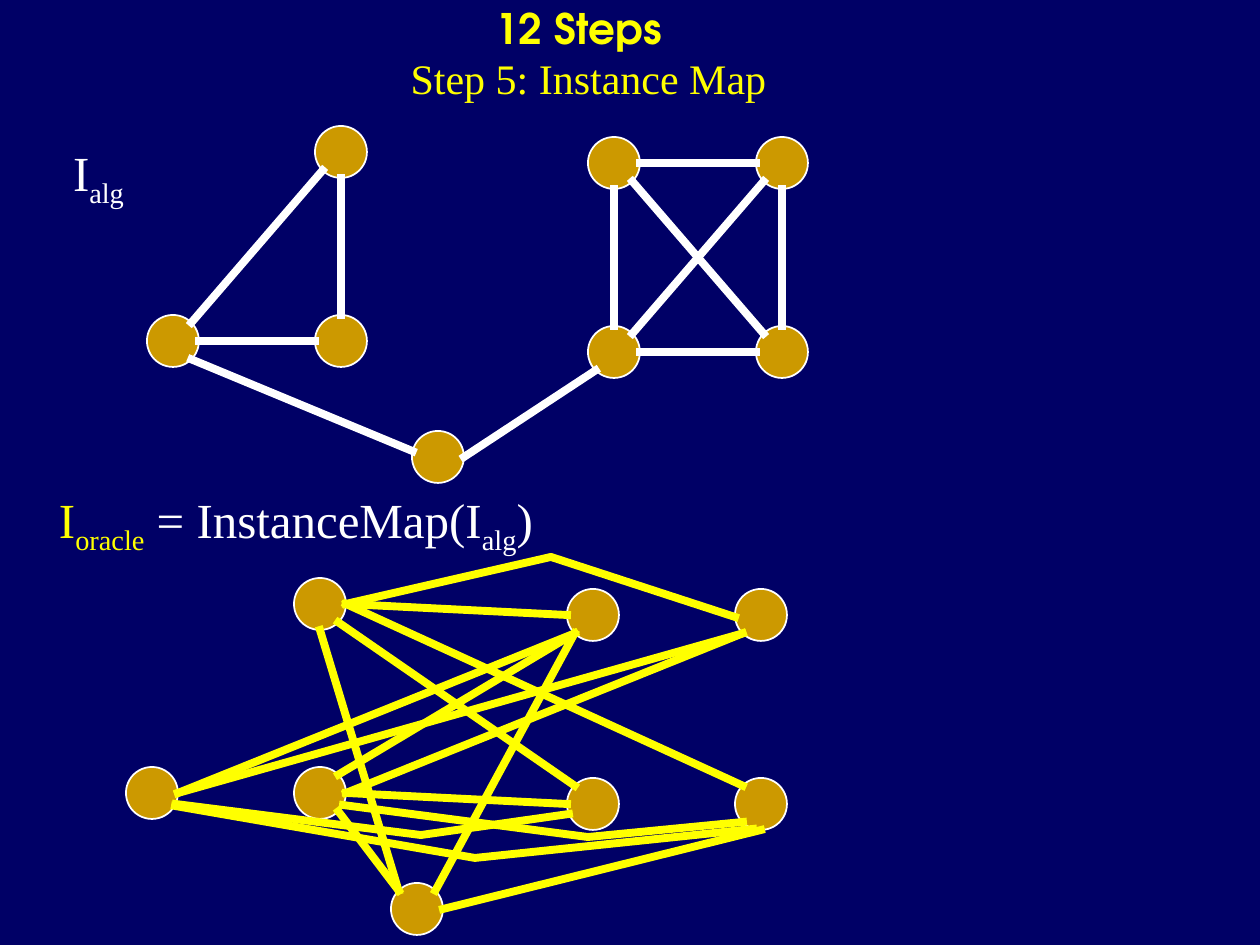
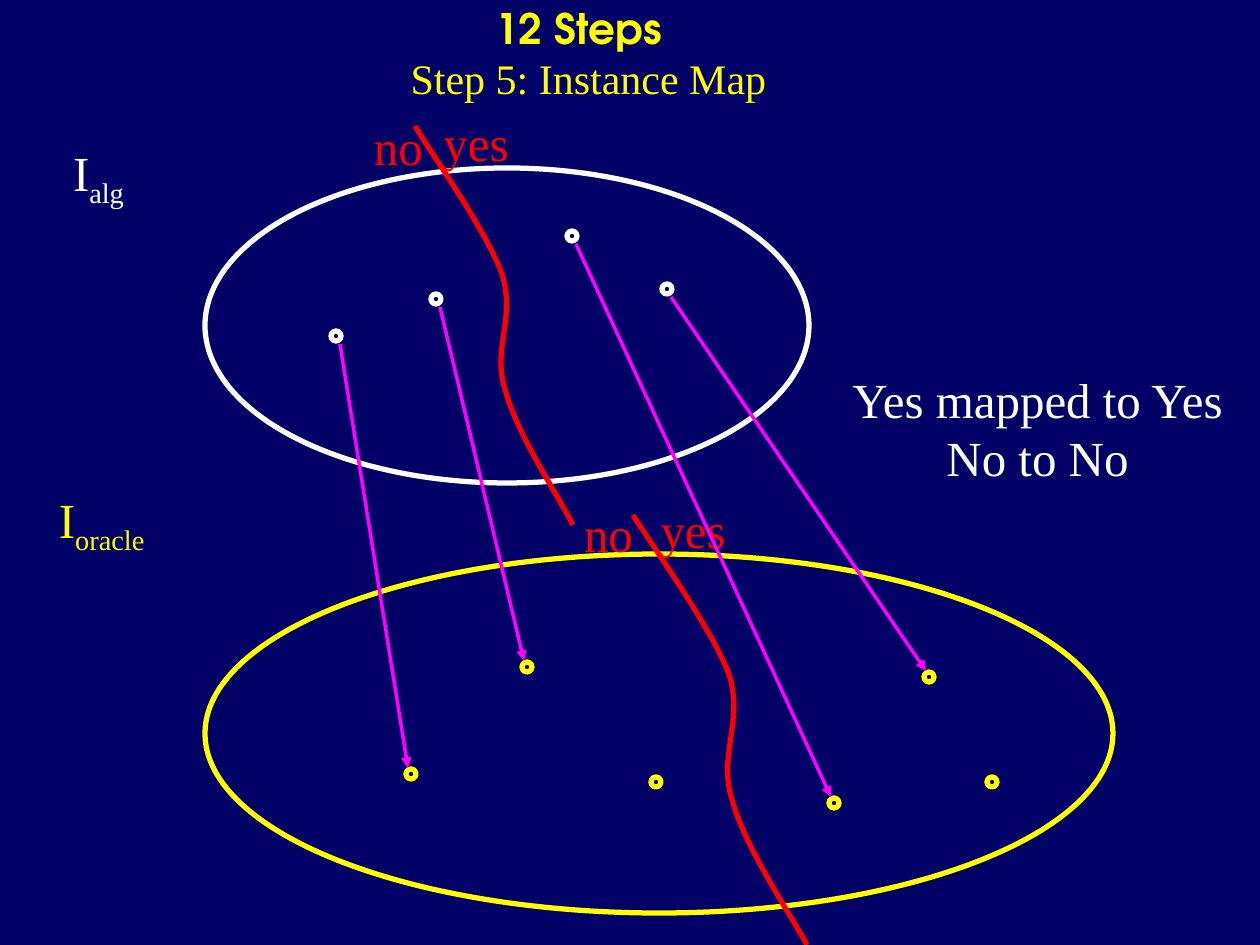
from math import cos, radians, sin

from lxml import etree
from pptx import Presentation
from pptx import util as u
from pptx.dml.color import RGBColor
from pptx.enum import shapes, text
from pptx.oxml.ns import qn

PX = u.Inches(1) / 126
NAVY, WHITE, YELLOW = "000066", "FFFFFF", "FFFF00"
GOLD, RED, MAGENTA = "CC9900", "FF0000", "FF00FF"
SERIF, DISPLAY = "Times New Roman", "TeX Gyre Adventor"
RADIUS = 26

# Node centres within a graph's box; both graphs share them
NODES = {
    "apex": (194, 26), "left": (26, 215), "corner": (194, 215), "bottom": (291, 331),
    "nw": (467, 37), "sw": (467, 226), "ne": (635, 37), "se": (635, 226),
}
# Edges: node, angle on its rim (clockwise from east), node, angle, optional bend
ALG_EDGES = [
    ("nw", 0, "ne", 180), ("nw", 90, "sw", 270), ("ne", 90, "se", 270),
    ("sw", 0, "se", 180), ("ne", 135, "sw", 315), ("nw", 45, "se", 225),
    ("bottom", 193, "left", 45), ("apex", 90, "corner", 270),
    ("left", 0, "corner", 180), ("apex", 135, "left", 315), ("bottom", 0, "sw", 135),
]
ORACLE_EDGES = [
    ("corner", 0, "sw", 180), ("apex", 0, "nw", 180), ("bottom", 315, "nw", 135),
    ("corner", 315, "nw", 135), ("left", 0, "nw", 135), ("apex", 45, "sw", 225),
    ("apex", 90, "bottom", 225), ("corner", 0, "ne", 135), ("corner", 45, "bottom", 225),
    ("left", 0, "ne", 135), ("apex", 0, "se", 225),
    ("apex", 0, "ne", 175, (425, -21)), ("left", 25, "sw", 158, (295, 257)),
    ("left", 30, "se", 108, (349, 280)), ("corner", 28, "se", 135, (462, 259)),
    ("bottom", 0, "se", 90),
]
# Divider between no and yes: three Bezier pieces, in percent of its box
DIVIDER = [(9, 6), (45, 26), (55, 37), (64, 48), (49, 56), (57, 66),
           (64, 77), (91, 93), (100, 100)]
# Instances within each set's ellipse; the first four map one to one
ALG_DOTS = [(131, 168), (231, 131), (367, 68), (462, 121)]
ORACLE_DOTS = [(206, 220), (322, 113), (629, 249), (724, 123), (451, 228), (787, 228)]


def emu(*lengths):
    return [u.Emu(round(length * PX)) for length in lengths]


def rgb(hex_string):
    return RGBColor.from_string(hex_string)


def shift(point, offset):
    return point[0] + offset[0], point[1] + offset[1]


def set_line(item, color, width):
    item.line.color.rgb = rgb(color)
    item.line.width = u.Pt(width)


def set_font(font, **values):
    font.color.rgb = rgb(values.pop("color"))
    for name, value in values.items():
        setattr(font, name, value)


def add_ellipse(slide, box, color, width, fill=None):
    ellipse = slide.shapes.add_shape(shapes.MSO_SHAPE.OVAL, *emu(*box))
    ellipse.shadow.inherit = False
    if fill:
        ellipse.fill.solid()
        ellipse.fill.fore_color.rgb = rgb(fill)
    else:
        ellipse.fill.background()
    set_line(ellipse, color, width)


def add_line(slide, start, end, color, width, arrow=False):
    line = slide.shapes.add_connector(
        shapes.MSO_CONNECTOR.STRAIGHT, *emu(*start, *end))
    set_line(line, color, width)
    if arrow:
        etree.SubElement(line.line._get_or_add_ln(), qn("a:tailEnd"), type="triangle")
    etree.SubElement(line._element.spPr, qn("a:effectLst"))
    return line


def add_outline(slide, points, color, width):
    builder = slide.shapes.build_freeform(*points[0], scale=PX)
    builder.add_line_segments(points[1:], close=False)
    outline = builder.convert_to_shape()
    outline.shadow.inherit = False
    outline.fill.background()
    set_line(outline, color, width)
    return outline


def bend_segments(outline):
    """Turn each three line segments into one cubic Bezier."""
    route = next(outline._element.iter(qn("a:path")))
    segments = route.findall(qn("a:lnTo"))
    for first in range(0, len(segments), 3):
        curve = etree.SubElement(route, qn("a:cubicBezTo"))
        for segment in segments[first:first + 3]:
            curve.append(segment[0])
            route.remove(segment)


def add_label(slide, box, lines, align=text.PP_ALIGN.LEFT):
    """Each line is a list of (words, color, is_subscript)."""
    frame = slide.shapes.add_textbox(*emu(*box)).text_frame
    side, edge = emu(38, 6)
    for name, value in dict(
            margin_left=side, margin_right=side, margin_top=edge, margin_bottom=edge,
            word_wrap=False, auto_size=text.MSO_AUTO_SIZE.SHAPE_TO_FIT_TEXT).items():
        setattr(frame, name, value)
    for index, line in enumerate(lines):
        paragraph = frame.add_paragraph() if index else frame.paragraphs[0]
        paragraph.alignment = align
        for words, color, is_subscript in line:
            run = paragraph.add_run()
            run.text = words
            set_font(run.font, color=color, name=SERIF, size=u.Pt(28))
            if is_subscript:
                run._r.get_or_add_rPr().set("baseline", "-25000")


def symbol(subscript, color):
    return [("I", color, False), (subscript, color, True)]


def add_step_slide(prs):
    """Slide with the shared heading and the label of the algorithm's instance."""
    slide = prs.slides.add_slide(prs.slide_layouts[5])
    heading = slide.shapes.title
    heading.left, heading.top, heading.width, heading.height = emu(179, -10, 819, 126)
    frame = heading.text_frame
    frame.auto_size = text.MSO_AUTO_SIZE.NONE
    frame.vertical_anchor = text.MSO_ANCHOR.MIDDLE
    frame.text = "12 Steps\nStep 5: Instance Map"
    # The right margin sets the first line slightly left of centre
    styles = ((DISPLAY, True, 20), (SERIF, False, 0))
    for paragraph, (face, bold, margin) in zip(frame.paragraphs, styles):
        paragraph.alignment = text.PP_ALIGN.CENTER
        paragraph._p.get_or_add_pPr().set("marR", str(emu(margin)[0]))
        set_font(paragraph.runs[0].font, color=YELLOW, name=face, size=u.Pt(24), bold=bold)
    add_label(slide, (35, 136, 134, 72), [symbol("alg", WHITE)])
    return slide


def add_graph(slide, origin, edges, color):
    def rim(node, angle):
        reach = RADIUS * cos(radians(angle)), RADIUS * sin(radians(angle))
        return shift(shift(origin, NODES[node]), reach)

    for center in NODES.values():
        corner = shift(shift(origin, center), (-RADIUS, -RADIUS))
        add_ellipse(slide, (*corner, 2 * RADIUS, 2 * RADIUS), WHITE, 1, GOLD)
    for from_node, from_angle, to_node, to_angle, *bends in edges:
        start, end = rim(from_node, from_angle), rim(to_node, to_angle)
        if bends:
            edge = add_outline(slide, [start, shift(origin, bends[0]), end], color, 4.5)
        else:
            edge = add_line(slide, start, end, color, 4.5)
        # Square ends reach into the nodes
        edge.line._get_or_add_ln().set("cap", "sq")


def add_instance_set(slide, box, dots, color):
    """Draw a set with its instances and return the instances' centres."""
    add_ellipse(slide, box, color, 3)
    centers = [shift(box[:2], dot) for dot in dots]
    for x, y in centers:
        add_ellipse(slide, (x - 5, y - 5, 10, 10), color, 3)
    return centers


def add_divider(slide, box):
    left, top, width, height = box
    points = [(left + width * x / 100, top + height * y / 100)
              for x, y in [(0, 0)] + DIVIDER]
    bend_segments(add_outline(slide, points, RED, 3))
    for answer, x, y, label_width in (("no", .5, .04, 130), ("yes", .06, .05, 150)):
        place = (left - width * x, top - height * y, label_width, 72)
        add_label(slide, place, [[(answer, RED, False)]])


def build_graph_slide(prs):
    slide = add_step_slide(prs)
    add_graph(slide, (126, 578), ORACLE_EDGES, YELLOW)
    add_graph(slide, (147, 126), ALG_EDGES, WHITE)
    add_label(slide, (21, 483, 584, 72), [
        symbol("oracle", YELLOW) + [(" = InstanceMap(I", WHITE, False),
                                    ("alg", WHITE, True), (")", WHITE, False)]])


def build_mapping_slide(prs):
    slide = add_step_slide(prs)
    add_label(slide, (21, 483, 188, 72), [symbol("oracle", YELLOW)])
    sources = add_instance_set(slide, (205, 168, 604, 315), ALG_DOTS, WHITE)
    targets = add_instance_set(slide, (205, 554, 908, 359), ORACLE_DOTS, YELLOW)
    for box in ((415, 126, 158, 399), (633, 515, 174, 430)):
        add_divider(slide, box)
    for source, target in zip(sources, targets):
        add_line(slide, shift(source, (4, 8)), shift(target, (-3, -6)), MAGENTA, 2, True)
    add_label(slide, (807, 363, 461, 130),
              [[("Yes mapped to Yes", WHITE, False)], [("No to No", WHITE, False)]],
              text.PP_ALIGN.CENTER)


def main():
    prs = Presentation()
    prs.slide_width, prs.slide_height = emu(1260, 945)
    backdrop = prs.slide_master.background.fill
    backdrop.solid()
    backdrop.fore_color.rgb = rgb(NAVY)
    build_graph_slide(prs)
    build_mapping_slide(prs)
    prs.save("out.pptx")


if __name__ == "__main__":
    main()
